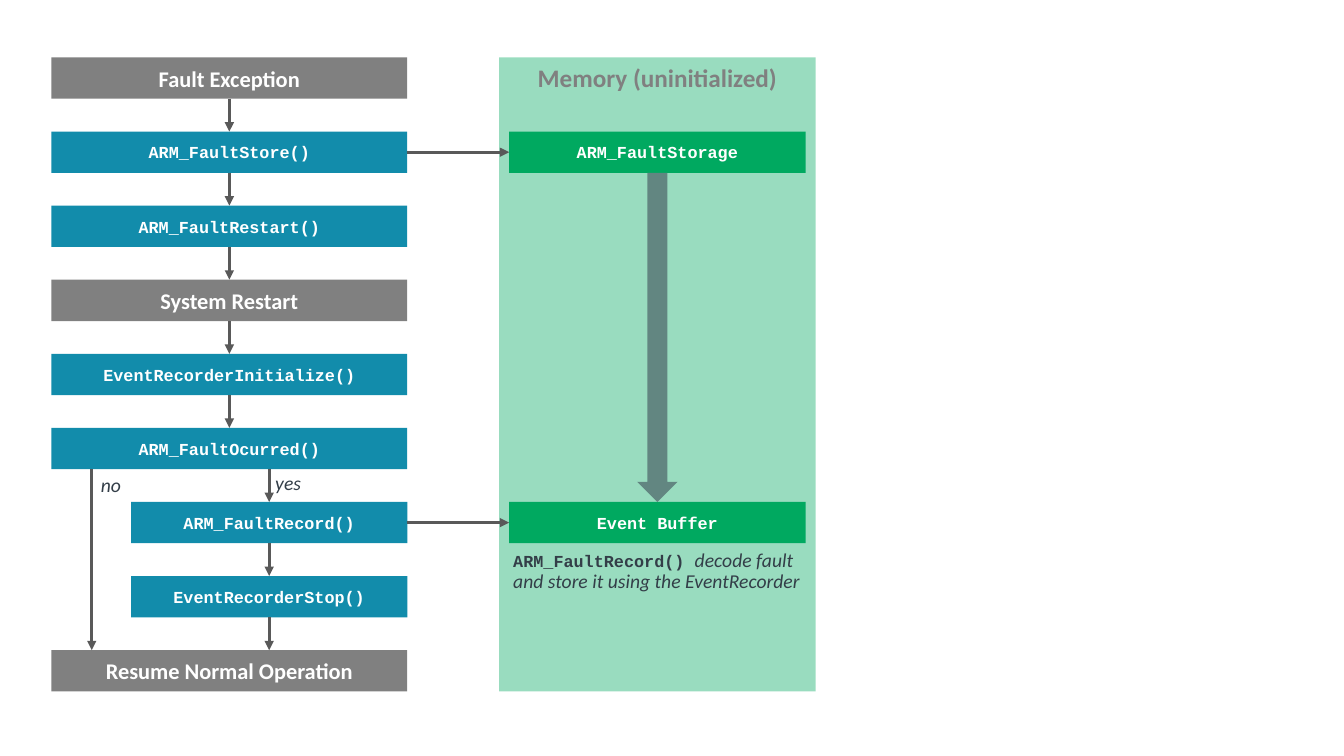
from lxml import etree
from pptx import Presentation
from pptx import util as u
from pptx.dml.color import RGBColor
from pptx.enum import shapes, text
from pptx.oxml.ns import qn

SLIDE_W, SLIDE_H = 13.33, 7.5
LEFT, TOP, PITCH, BOX_H = 0.51, 0.57, 0.735, 0.41
RIGHT, BRANCH_LEFT, NO_X = 4.04, 1.3, 0.91
PANEL_LEFT, PANEL_W, PANEL_PAD = 4.95, 3.14, 0.1
ARROW_W = 0.4
GREY, BLUE, GREEN, WHITE = "808080", "128CAB", "00A960", "FFFFFF"
LINE, INK, SHAFT = "595959", "333E48", "628681"
HEADING, CODE, NOTE = ("Calibri", 16), ("Courier New", 12), ("Calibri", 14)

STEPS = [
    ("Fault Exception", LEFT, GREY, HEADING),
    ("ARM_FaultStore()", LEFT, BLUE, CODE),
    ("ARM_FaultRestart()", LEFT, BLUE, CODE),
    ("System Restart", LEFT, GREY, HEADING),
    ("EventRecorderInitialize()", LEFT, BLUE, CODE),
    ("ARM_FaultOcurred()", LEFT, BLUE, CODE),
    ("ARM_FaultRecord()", BRANCH_LEFT, BLUE, CODE),
    ("EventRecorderStop()", BRANCH_LEFT, BLUE, CODE),
    ("Resume Normal Operation", LEFT, GREY, HEADING),
]
MEMORY = {1: "ARM_FaultStorage", 6: "Event Buffer"}
PANEL_TITLE = "Memory (uninitialized)"
NOTES = [
    (2.73, 4.7, 0.29, 0.21, [("yes", NOTE)]),
    (1.0, 4.72, 0.29, 0.21, [("no", NOTE)]),
    (5.09, 5.46, 2.98, 0.42, [
        ("ARM_FaultRecord() ", CODE),
        ("decode fault and store it using the EventRecorder", NOTE),
    ]),
]

deck = Presentation()
deck.slide_width, deck.slide_height = u.Inches(SLIDE_W), u.Inches(SLIDE_H)
page = deck.slides.add_slide(deck.slide_layouts[6])


def color(value):
    return RGBColor.from_string(value)


def inches(*lengths):
    return [u.Inches(length) for length in lengths]


def set_font(font, face, ink):
    font.name, font.size = face[0], u.Pt(face[1])
    font.color.rgb = color(ink)


def add_block(preset, left, top, width, height, fill):
    block = page.shapes.add_shape(preset, *inches(left, top, width, height))
    block.shadow.inherit = False
    block.fill.solid()
    block.fill.fore_color.rgb = color(fill)
    block.line.fill.background()
    return block


def add_box(left, top, width, height, fill, words, face, ink=WHITE):
    box = add_block(shapes.MSO_SHAPE.RECTANGLE, left, top, width, height, fill)
    box.text_frame.word_wrap = True
    box.text_frame.vertical_anchor = text.MSO_ANCHOR.MIDDLE
    para = box.text_frame.paragraphs[0]
    para.text = words
    para.alignment = text.PP_ALIGN.CENTER
    para.space_after = u.Pt(6)
    para.font.bold = True
    set_font(para.font, face, ink)
    return box


def add_arrow(x1, y1, x2, y2, start=None, end=None):
    arrow = page.shapes.add_connector(
        shapes.MSO_CONNECTOR.STRAIGHT, *inches(x1, y1, x2, y2))
    arrow.line.color.rgb = color(LINE)
    arrow.line.width = u.Pt(2.25)
    outline = arrow.line._get_or_add_ln()
    etree.SubElement(outline, qn("a:tailEnd"), type="triangle")
    etree.SubElement(arrow._element.spPr, qn("a:effectLst"))
    if start:
        arrow.begin_connect(*start)
    if end:
        arrow.end_connect(*end)


def add_note(left, top, width, height, parts):
    note = page.shapes.add_textbox(*inches(left, top, width, height))
    frame = note.text_frame
    frame.word_wrap = True
    frame.auto_size = text.MSO_AUTO_SIZE.SHAPE_TO_FIT_TEXT
    frame.margin_left = frame.margin_right = 0
    frame.margin_top = frame.margin_bottom = 0
    para = frame.paragraphs[0]
    para.line_spacing, para.space_after = 0.9, u.Pt(6)
    for words, face in parts:
        span = para.add_run()
        span.text = words
        span.font.bold, span.font.italic = face == CODE, face == NOTE
        set_font(span.font, face, INK)


tops = [TOP + PITCH * row for row in range(len(STEPS))]

panel = add_box(PANEL_LEFT, TOP, PANEL_W, tops[-1] + BOX_H - TOP, GREEN,
                PANEL_TITLE, ("Calibri", 18), GREY)
panel.text_frame.vertical_anchor = text.MSO_ANCHOR.TOP
panel_color = panel._element.spPr.find(qn("a:solidFill"))[0]
etree.SubElement(panel_color, qn("a:alpha"), val="40000")

boxes = [add_box(left, top, RIGHT - left, BOX_H, fill, words, face)
         for top, (words, left, fill, face) in zip(tops, STEPS)]

memory_left = PANEL_LEFT + PANEL_PAD
for row, words in MEMORY.items():
    store = add_box(memory_left, tops[row], PANEL_W - 2 * PANEL_PAD, BOX_H,
                    GREEN, words, CODE)
    middle = tops[row] + BOX_H / 2
    add_arrow(RIGHT, middle, memory_left, middle, (boxes[row], 3), (store, 1))

first, last = MEMORY
shaft_top = tops[first] + BOX_H
add_block(shapes.MSO_SHAPE.DOWN_ARROW, PANEL_LEFT + (PANEL_W - ARROW_W) / 2,
          shaft_top, ARROW_W, tops[last] - shaft_top, SHAFT)

for row in range(len(STEPS) - 1):
    left, next_left = STEPS[row][1], STEPS[row + 1][1]
    x = (max(left, next_left) + RIGHT) / 2
    add_arrow(x, tops[row] + BOX_H, x, tops[row + 1],
              (boxes[row], 2) if left >= next_left else None,
              (boxes[row + 1], 0) if next_left >= left else None)
add_arrow(NO_X, tops[5] + BOX_H, NO_X, tops[-1])

for note in NOTES:
    add_note(*note)

deck.save("out.pptx")
